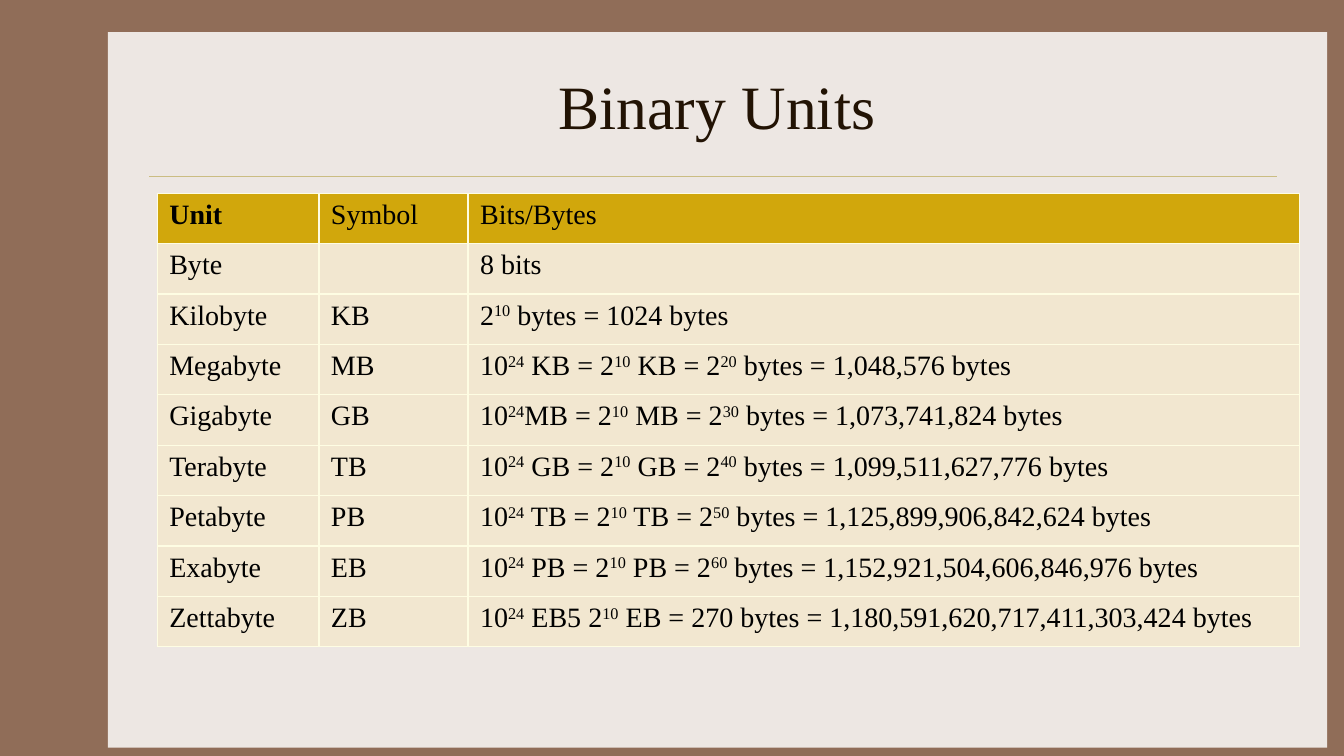
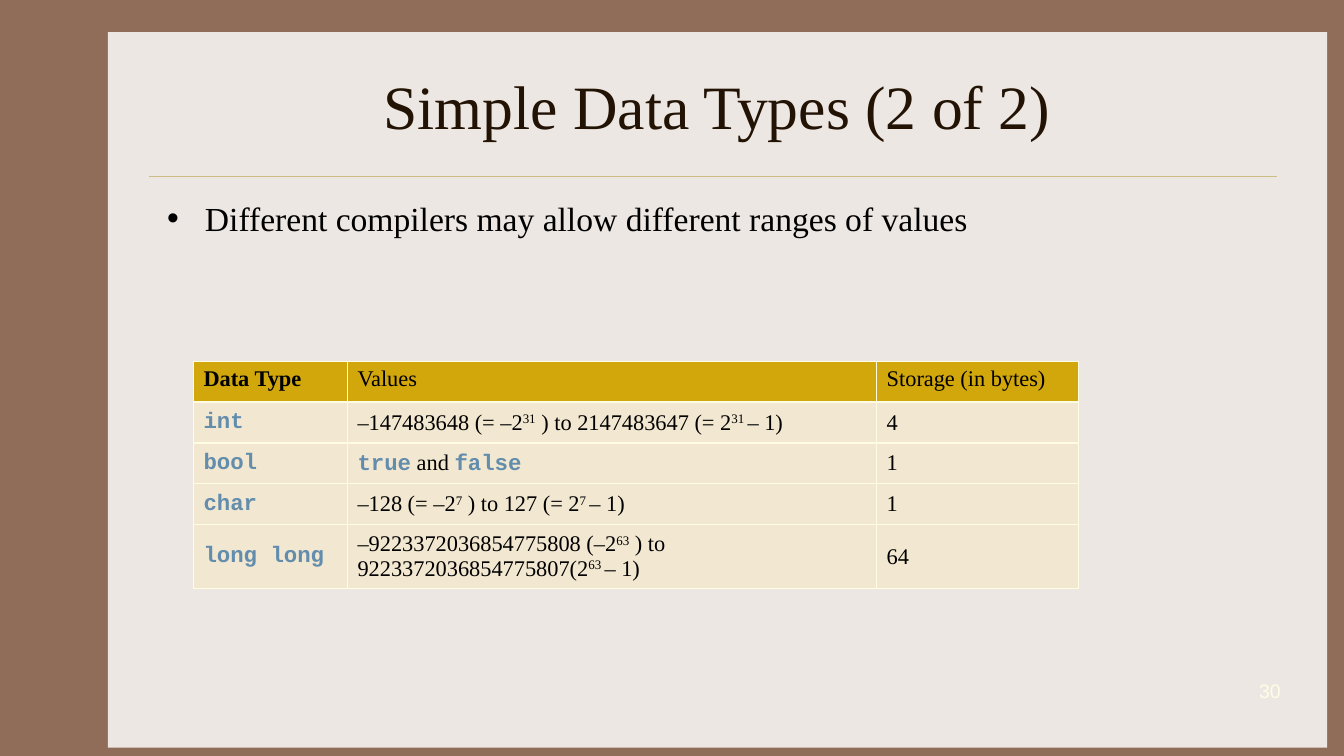
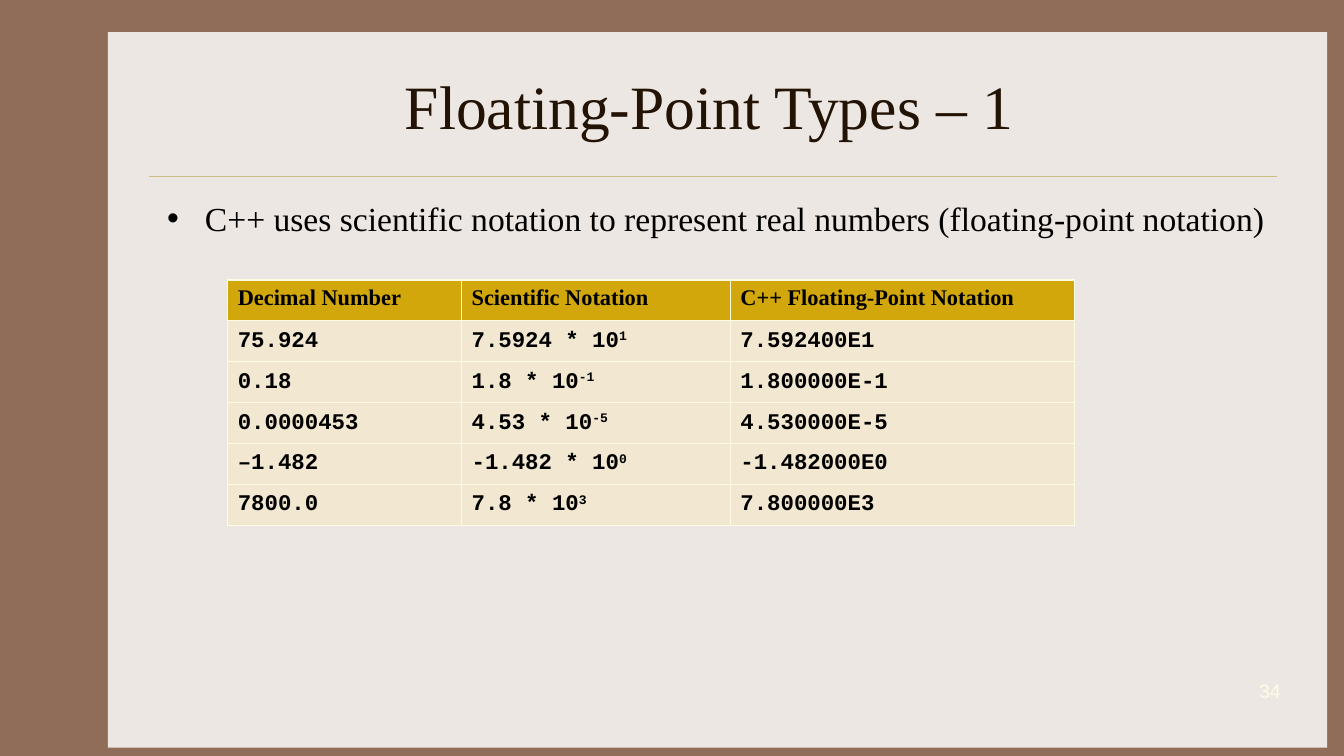
from dataclasses import dataclass

from lxml.etree import SubElement
from pptx import Presentation
from pptx.dml.color import RGBColor
from pptx.enum.shapes import MSO_CONNECTOR, MSO_SHAPE
from pptx.enum.text import MSO_ANCHOR, PP_ALIGN
from pptx.oxml.ns import qn
from pptx.util import Pt


@dataclass(frozen=True)
class Theme:
    frame: RGBColor = RGBColor.from_string("906D58")
    panel: RGBColor = RGBColor.from_string("EDE7E3")
    rule: RGBColor = RGBColor.from_string("CBBD83")
    title: RGBColor = RGBColor.from_string("221304")
    ink: RGBColor = RGBColor.from_string("000000")
    keyword: RGBColor = RGBColor.from_string("638DAD")
    header: RGBColor = RGBColor.from_string("D1A70C")
    cell: RGBColor = RGBColor.from_string("F2E7D0")
    pale: RGBColor = RGBColor.from_string("FEFDE3")
    serif: str = "Times New Roman"
    mono: str = "Courier New"
    sans: str = "Arial"
    title_size: int = 44
    body_size: int = 24
    units_size: int = 20
    types_size: int = 16
    number_size: int = 14


THEME = Theme()
CONTENT_LEFT, CONTENT_WIDTH = 112.3, 800

BINARY_UNITS = [
    ["Unit", "Symbol", "Bits/Bytes"],
    ["Byte", "", "8 bits"],
    ["Kilobyte", "KB", "2^10^ bytes = 1024 bytes"],
    ["Megabyte", "MB", "10^24^ KB = 2^10^ KB = 2^20^ bytes = 1,048,576 bytes"],
    ["Gigabyte", "GB", "10^24^MB = 2^10^ MB = 2^30^ bytes = 1,073,741,824 bytes"],
    ["Terabyte", "TB", "10^24^ GB = 2^10^ GB = 2^40^ bytes = 1,099,511,627,776 bytes"],
    ["Petabyte", "PB", "10^24^ TB = 2^10^ TB = 2^50^ bytes = 1,125,899,906,842,624 bytes"],
    ["Exabyte", "EB", "10^24^ PB = 2^10^ PB = 2^60^ bytes = 1,152,921,504,606,846,976 bytes"],
    ["Zettabyte", "ZB", "10^24^ EB5 2^10^ EB = 270 bytes = 1,180,591,620,717,411,303,424 bytes"],
]
DATA_TYPES = [
    ["Data Type", "Values", "Storage (in bytes)"],
    ["`int`", "–147483648 (= –2^31^ ) to 2147483647 (= 2^31 ^– 1)", "4"],
    ["`bool`", "`true` and `false`", "1"],
    ["`char`", "–128 (= –2^7^ ) to 127 (= 2^7 ^– 1)", "1"],
    ["`long long`", "–9223372036854775808 (–2^63^ ) to\n9223372036854775807(2^63 ^– 1)", "64"],
]
FLOAT_HEADINGS = ["Decimal Number", "Scientific Notation", "C++ Floating-Point Notation"]
FLOAT_VALUES = [
    ["75.924", "7.5924 * 10^1^", "7.592400E1"],
    ["0.18", "1.8 * 10^-1^", "1.800000E-1"],
    ["0.0000453", "4.53 * 10^-5^", "4.530000E-5"],
    ["–1.482", "-1.482 * 10^0^", "-1.482000E0"],
    ["7800.0", "7.8 * 10^3^", "7.800000E3"],
]


def add_run(paragraph, text, size, color=THEME.ink, font=THEME.serif, bold=False):
    run = paragraph.add_run()
    run.text = text
    run.font.name, run.font.size, run.font.bold = font, Pt(size), bold
    run.font.color.rgb = color
    return run


def add_marked_runs(paragraph, text, size, bold, code_color):
    """Backticks enclose code, carets enclose superscripts."""
    for i, span in enumerate(text.split("`")):
        is_code = i % 2 == 1
        look = (code_color, THEME.mono, True) if is_code else (THEME.ink, THEME.serif, bold)
        for j, part in enumerate(span.split("^")):
            if part:
                run = add_run(paragraph, part, size, *look)
                if j % 2:
                    run._r.get_or_add_rPr().set("baseline", "30000")


def add_text_box(slide, left, top, width, height, anchor=MSO_ANCHOR.TOP):
    frame = slide.shapes.add_textbox(Pt(left), Pt(top), Pt(width), Pt(height)).text_frame
    frame.word_wrap = True
    frame.vertical_anchor = anchor
    return frame.paragraphs[0]


def add_framed_slide(deck, title, number=None):
    slide = deck.slides.add_slide(deck.slide_layouts[6])
    # Panel
    panel = slide.shapes.add_shape(MSO_SHAPE.RECTANGLE, Pt(77), Pt(23), Pt(871), Pt(511))
    panel.shadow.inherit = False
    panel.fill.solid()
    panel.fill.fore_color.rgb = THEME.panel
    panel.line.fill.background()
    # Rule under the title
    rule = slide.shapes.add_connector(MSO_CONNECTOR.STRAIGHT, Pt(106.6), Pt(126), Pt(912.4), Pt(126))
    rule.line.color.rgb = THEME.rule
    rule.line.width = Pt(0.25)
    SubElement(rule._element.spPr, qn("a:effectLst"))
    # Title
    heading = add_text_box(slide, CONTENT_LEFT, 30, CONTENT_WIDTH, 90, MSO_ANCHOR.MIDDLE)
    heading.alignment = PP_ALIGN.CENTER
    add_run(heading, title, THEME.title_size, THEME.title)
    # Slide number
    if number:
        footer = add_text_box(slide, 862, 480, 60, 26, MSO_ANCHOR.MIDDLE)
        footer.alignment = PP_ALIGN.RIGHT
        add_run(footer, number, THEME.number_size, THEME.pale, THEME.sans)
    return slide


def add_bullet(slide, text):
    point = add_text_box(slide, CONTENT_LEFT, 138, CONTENT_WIDTH, 324)
    properties = point._p.get_or_add_pPr()
    properties.set("marL", str(Pt(27)))
    properties.set("indent", str(Pt(-27)))
    SubElement(properties, qn("a:buFont"), typeface=THEME.sans)
    SubElement(properties, qn("a:buChar"), char="•")
    add_run(point, text, THEME.body_size)


def add_borders(cell):
    properties = cell._tc.get_or_add_tcPr()
    for side in ("lnL", "lnR", "lnT", "lnB"):
        border = SubElement(properties, qn(f"a:{side}"), w=str(Pt(1)))
        fill = SubElement(border, qn("a:solidFill"))
        SubElement(fill, qn("a:srgbClr"), val=str(THEME.pale))


def add_grid(slide, rows, left, top, widths, row_height, size, bold_headings=1,
             code_color=THEME.ink, anchor=MSO_ANCHOR.MIDDLE, margins=(7.2, 3.6)):
    grid = slide.shapes.add_table(len(rows), len(widths), Pt(left), Pt(top),
                                  Pt(sum(widths)), Pt(row_height * len(rows))).table
    grid.horz_banding = False
    for column, width in zip(grid.columns, widths):
        column.width = Pt(width)
    for r, row in enumerate(rows):
        grid.rows[r].height = Pt(row_height)
        for c, text in enumerate(row):
            is_heading = r == 0
            cell = grid.cell(r, c)
            cell.margin_left = cell.margin_right = Pt(margins[0])
            cell.margin_top = cell.margin_bottom = Pt(margins[1])
            cell.vertical_anchor = MSO_ANCHOR.TOP if is_heading else anchor
            add_borders(cell)
            cell.fill.solid()
            cell.fill.fore_color.rgb = THEME.header if is_heading else THEME.cell
            for i, line in enumerate(text.split("\n")):
                paragraph = cell.text_frame.add_paragraph() if i else cell.text_frame.paragraphs[0]
                add_marked_runs(paragraph, line, size, is_heading and c < bold_headings, code_color)


def main():
    deck = Presentation()
    deck.slide_width, deck.slide_height = Pt(960), Pt(540)
    background = deck.slide_master.background.fill
    background.solid()
    background.fore_color.rgb = THEME.frame

    # Binary units
    units = add_framed_slide(deck, "Binary Units")
    add_grid(units, BINARY_UNITS, CONTENT_LEFT, 138, (115.5, 106.5, 594), 36,
             THEME.units_size, anchor=MSO_ANCHOR.TOP, margins=(8.64, 4.32))

    # Simple data types
    types = add_framed_slide(deck, "Simple Data Types (2 of 2)", "30")
    add_bullet(types, "Different compilers may allow different ranges of values")
    add_grid(types, DATA_TYPES, 138.2, 258, (110, 378, 144), 29.2,
             THEME.types_size, code_color=THEME.keyword)

    # Floating-point notation
    floats = add_framed_slide(deck, "Floating-Point Types – 1 ", "34")
    add_bullet(floats, "C++ uses scientific notation to represent real numbers (floating-point notation)")
    code_rows = [[f"`{value}`" for value in row] for row in FLOAT_VALUES]
    add_grid(floats, [FLOAT_HEADINGS] + code_rows, 162.7, 200, (167, 192, 246), 29.2,
             THEME.types_size, bold_headings=3)

    deck.save("out.pptx")


if __name__ == "__main__":
    main()
